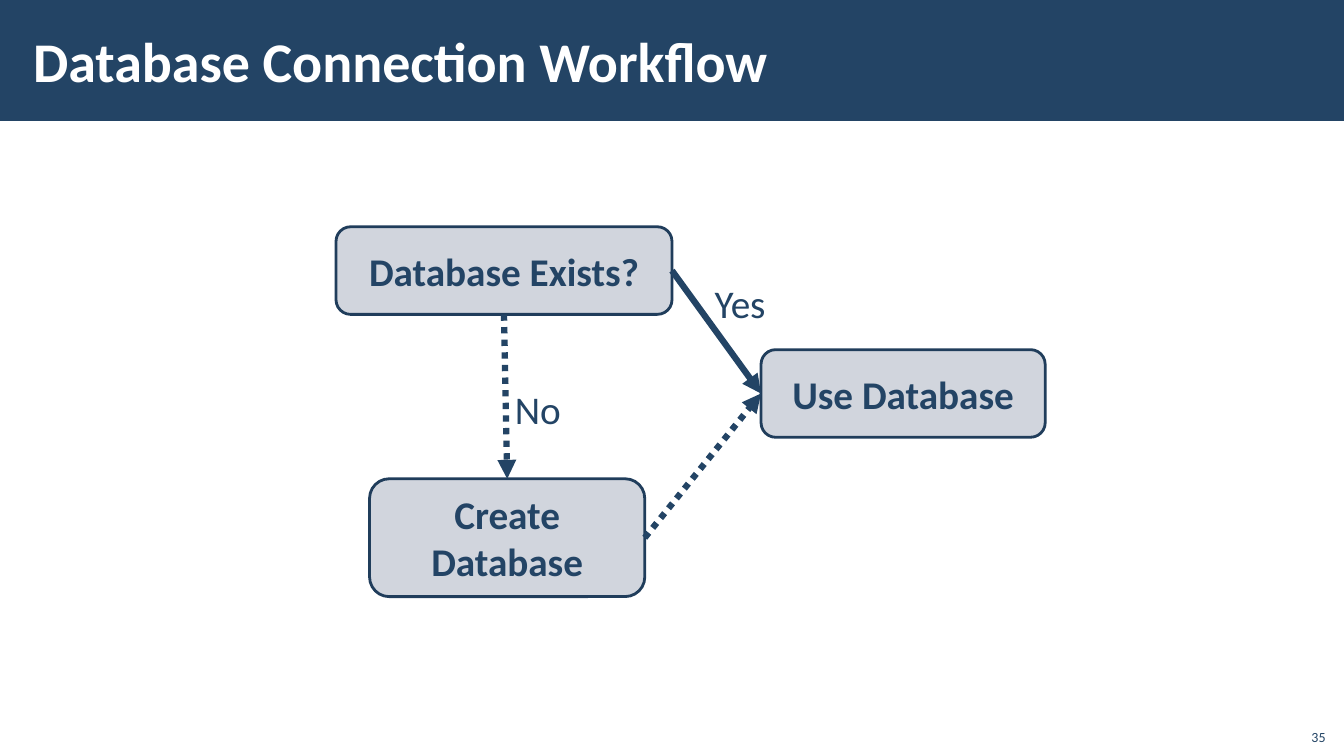
from dataclasses import dataclass

import pptx
import pptx.dml.color
import pptx.enum.dml
import pptx.enum.shapes
import pptx.enum.text
import pptx.oxml.ns
import pptx.presentation
import pptx.util
from lxml import etree

Pt = pptx.util.Pt
Align = pptx.enum.text.PP_ALIGN
Anchor = pptx.enum.text.MSO_ANCHOR
Preset = pptx.enum.shapes.MSO_SHAPE
qn = pptx.oxml.ns.qn

NAVY = "234465"
EDGE = "203D5B"
GREY = "D1D5DD"
WHITE = "FFFFFF"
BOTTOM, RIGHT, TOP, LEFT = 2, 3, 0, 1


@dataclass
class Frame:
    left: float
    top: float
    width: float
    height: float


@dataclass
class Step:
    name: str
    frame: Frame


@dataclass
class Arrow:
    start: str
    exit: int
    end: str
    entry: int
    dotted: bool


@dataclass
class Label:
    text: str
    frame: Frame
    size: float = 28
    align: Align = Align.LEFT
    anchor: Anchor = Anchor.TOP


STEPS = [
    Step("Database Exists?", Frame(240, 162, 240, 62.6)),
    Step("Create Database", Frame(264, 342, 196.6, 84.2)),
    Step("Use Database", Frame(543.6, 249.8, 203, 62.6)),
]
ARROWS = [
    Arrow("Database Exists?", BOTTOM, "Create Database", TOP, True),
    Arrow("Database Exists?", RIGHT, "Use Database", LEFT, False),
    Arrow("Create Database", RIGHT, "Use Database", LEFT, True),
]
LABELS = [
    Label("No", Frame(360.7, 271.4, 47.5, 41)),
    Label("Yes", Frame(503.3, 195.8, 51, 41)),
    Label("35", Frame(925.2, 512.6, 28.8, 23), 10, Align.RIGHT, Anchor.BOTTOM),
]


def color(code: str) -> pptx.dml.color.RGBColor:
    return pptx.dml.color.RGBColor.from_string(code)


def place(frame: Frame) -> tuple:
    return Pt(frame.left), Pt(frame.top), Pt(frame.width), Pt(frame.height)


def write(shape, text: str, size: float, code: str, bold: bool,
          align: Align, anchor: Anchor) -> None:
    body = shape.text_frame
    body.text = text
    body.vertical_anchor = anchor
    para = body.paragraphs[0]
    para.alignment = align
    para.font.name = "Calibri"
    para.font.size = Pt(size)
    para.font.bold = bold
    para.font.color.rgb = color(code)


def draw_head(slide) -> None:
    title = slide.shapes.title
    title.left, title.top, title.width, title.height = place(
        Frame(15, 8, 765.4, 70))
    write(title, "Database Connection Workflow", 40, WHITE, True,
          Align.LEFT, Anchor.MIDDLE)
    body = title.text_frame
    body.margin_left = body.margin_right = Pt(8.64)
    body.margin_top = body.margin_bottom = Pt(3)

    band = slide.shapes.add_shape(Preset.RECTANGLE,
                                  *place(Frame(0, 0, 960, 86.4)))
    band.shadow.inherit = False
    band.fill.solid()
    band.fill.fore_color.rgb = color(NAVY)
    band.line.fill.background()
    title.element.addprevious(band.element)


def draw_step(slide, step: Step):
    box = slide.shapes.add_shape(Preset.ROUNDED_RECTANGLE, *place(step.frame))
    box.shadow.inherit = False
    box.fill.solid()
    box.fill.fore_color.rgb = color(GREY)
    box.line.color.rgb = color(EDGE)
    box.line.width = Pt(2)
    write(box, step.name, 28, NAVY, True, Align.CENTER, Anchor.MIDDLE)
    return box


def draw_arrow(slide, arrow: Arrow, boxes: dict) -> None:
    link = slide.shapes.add_connector(
        pptx.enum.shapes.MSO_CONNECTOR.STRAIGHT, 0, 0, 0, 0)
    link.begin_connect(boxes[arrow.start], arrow.exit)
    link.end_connect(boxes[arrow.end], arrow.entry)
    link.line.color.rgb = color(NAVY)
    link.line.width = Pt(4.5)
    if arrow.dotted:
        link.line.dash_style = pptx.enum.dml.MSO_LINE.ROUND_DOT
    props = link.element.find(qn("p:spPr"))
    etree.SubElement(props.find(qn("a:ln")), qn("a:tailEnd"), type="triangle")
    etree.SubElement(props, qn("a:effectLst"))


def draw_label(slide, label: Label) -> None:
    box = slide.shapes.add_textbox(*place(label.frame))
    box.text_frame.word_wrap = False
    write(box, label.text, label.size, NAVY, False, label.align, label.anchor)


def main() -> None:
    deck = pptx.Presentation()
    deck.slide_width, deck.slide_height = Pt(960), Pt(540)
    slide = deck.slides.add_slide(deck.slide_layouts.get_by_name("Title Only"))
    draw_head(slide)
    boxes = {step.name: draw_step(slide, step) for step in STEPS}
    for arrow in ARROWS:
        draw_arrow(slide, arrow, boxes)
    for label in LABELS:
        draw_label(slide, label)
    deck.save("out.pptx")


if __name__ == "__main__":
    main()
